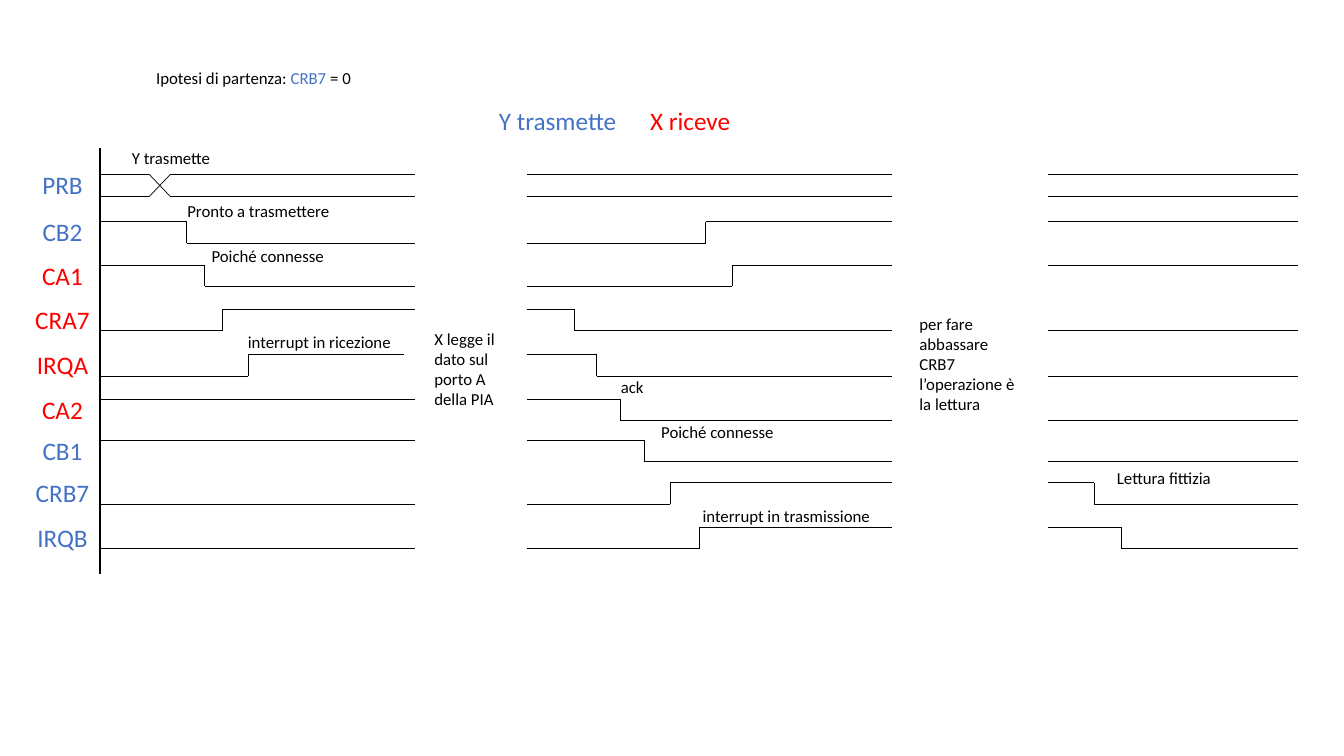
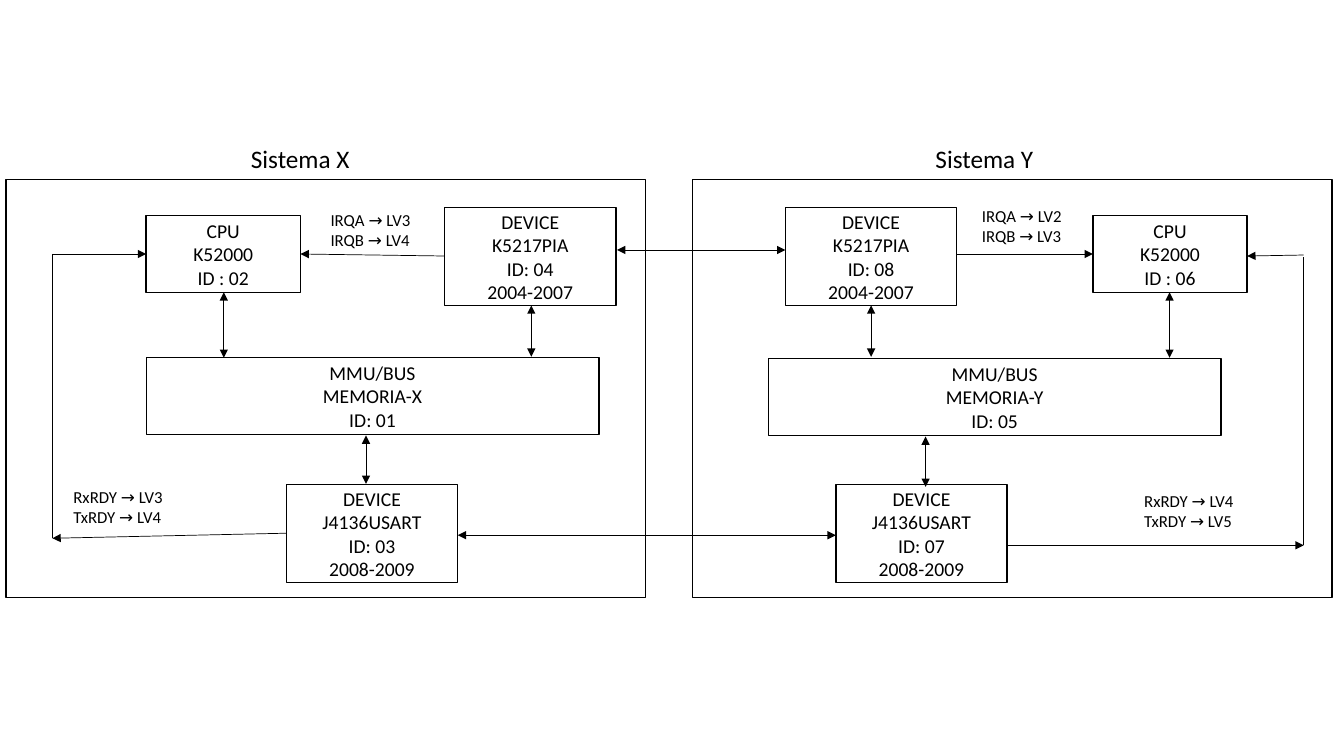
from dataclasses import dataclass
from itertools import pairwise

from lxml.etree import SubElement
from pptx import Presentation
from pptx.dml.color import RGBColor
from pptx.enum.shapes import MSO_CONNECTOR as Connector, MSO_SHAPE as Shape
from pptx.enum.text import MSO_ANCHOR as Anchor, PP_ALIGN as Align
from pptx.oxml.ns import qn
from pptx.util import Inches, Pt


@dataclass(frozen=True)
class Theme:
    black: RGBColor = RGBColor(0x00, 0x00, 0x00)
    white: RGBColor = RGBColor(0xFF, 0xFF, 0xFF)
    blue: RGBColor = RGBColor(0x44, 0x72, 0xC4)
    red: RGBColor = RGBColor(0xFF, 0x00, 0x00)
    font: str = "Calibri"
    arrow_font: str = "Comic Neue"
    heading: Pt = Pt(18)
    body: Pt = Pt(14)
    note: Pt = Pt(12)
    thin: Pt = Pt(0.5)
    border: Pt = Pt(1)
    axis: Pt = Pt(1.5)


theme = Theme()


def write(frame, paragraphs, size, alignment=Align.LEFT):
    """Fill a text frame; each paragraph is a list of (text, colour) runs."""
    frame.word_wrap = True
    for index, runs in enumerate(paragraphs):
        paragraph = frame.add_paragraph() if index else frame.paragraphs[0]
        paragraph.alignment = alignment
        for text, colour in runs:
            run = paragraph.add_run()
            run.text = text
            run.font.name = theme.arrow_font if text == "→" else theme.font
            run.font.size = size
            run.font.color.rgb = colour


def draw_line(slide, start, end, width=theme.thin, arrows=()):
    """Draw a straight line; arrows lists the ends, headEnd or tailEnd, that get a tip."""
    points = [Inches(value) for value in (*start, *end)]
    connector = slide.shapes.add_connector(Connector.STRAIGHT, *points)
    connector.line.color.rgb = theme.black
    connector.line.width = width
    properties = connector._element.spPr
    outline = properties.find(qn("a:ln"))
    for arrow in arrows:
        SubElement(outline, qn(f"a:{arrow}"), type="triangle")
    SubElement(properties, qn("a:effectLst"))


presentation = Presentation()
presentation.slide_width = Inches(13.33)
presentation.slide_height = Inches(7.5)
blank = presentation.slide_layouts[6]

# Timing diagram: three panels of signals
slide = presentation.slides.add_slide(blank)
axis_x, step, swap_start, swap_end = 0.99, 0.21, 1.48, 1.69
panels = [(axis_x, 4.12), (5.23, 8.85), (10.39, 12.87)]
HIGH, LOW = 0, 1

# Name, colour, high level, then per panel: first level, switching point, own end
signals = [
    ("CB2", theme.blue, 2.20, [(HIGH, 1.85), (LOW, 7.00), (HIGH, None)]),
    ("CA1", theme.red, 2.63, [(HIGH, 2.03), (LOW, 7.26), (HIGH, None)]),
    ("CRA7", theme.red, 3.07, [(LOW, 2.21), (HIGH, 5.70), (LOW, None)]),
    ("IRQA", theme.red, 3.52, [(LOW, 2.46, 4.01), (HIGH, 5.92), (LOW, None)]),
    ("CA2", theme.red, 3.96, [(HIGH, None), (HIGH, 6.15), (LOW, None)]),
    ("CB1", theme.blue, 4.37, [(HIGH, None), (HIGH, 6.39), (LOW, None)]),
    ("CRB7", theme.blue, 4.79, [(LOW, None), (LOW, 6.65), (HIGH, 10.85)]),
    ("IRQB", theme.blue, 5.23, [(LOW, None), (LOW, 6.94), (HIGH, 11.12)]),
]
draw_line(slide, (axis_x, 1.47), (axis_x, 5.69), theme.axis)

bus_high, bus_low = 1.73, 1.95
for level, opposite in ((bus_high, bus_low), (bus_low, bus_high)):
    draw_line(slide, (axis_x, level), (swap_start, level))
    draw_line(slide, (swap_start, level), (swap_end, opposite))
    for start, (_, end) in zip((swap_end, 5.23, 10.39), panels):
        draw_line(slide, (start, level), (end, level))

for name, colour, high, traces in signals:
    for (start, panel_end), (level, switch, *own_end) in zip(panels, traces):
        end = own_end[0] if own_end else panel_end
        before, after = high + step * level, high + step * (1 - level)
        points = [(start, before), (end, before)]
        if switch:
            points = [(start, before), (switch, before), (switch, after), (end, after)]
        for point, following in pairwise(points):
            draw_line(slide, point, following)

for name, colour, high, *_ in [("PRB", theme.blue, bus_high), *signals]:
    label = slide.shapes.add_textbox(Inches(0.12), Inches(high - 0.1), Inches(1), Inches(0.4))
    write(label.text_frame, [[(name, colour)]], theme.heading, Align.CENTER)

notes = [
    (1.21, 1.42, 1.5, "Y trasmette"),
    (1.76, 1.94, 2.0, "Pronto a trasmettere"),
    (2.00, 2.39, 2.0, "Poiché connesse"),
    (2.36, 3.24, 2.24, "interrupt in ricezione"),
    (6.06, 3.69, 1.0, "ack"),
    (6.46, 4.13, 2.0, "Poiché connesse"),
    (6.87, 4.97, 2.24, "interrupt in trasmissione"),
    (10.98, 4.59, 1.5, "Lettura fittizia"),
    (4.21, 3.21, 0.94, "X legge il dato sul porto A della PIA"),
    (9.02, 3.06, 1.19, "per fare abbassare CRB7 l’operazione è la lettura"),
]
captions = [(x, y, width, theme.note, [(text, theme.black)]) for x, y, width, text in notes]
captions += [
    (4.85, 1.0, 3.2, theme.heading, [("Y trasmette\t", theme.blue), ("X riceve", theme.red)]),
    (1.45, 0.62, 2.76, theme.note,
     [("Ipotesi di partenza: ", theme.black), ("CRB7", theme.blue), (" = 0", theme.black)]),
]
for x, y, width, size, runs in captions:
    caption = slide.shapes.add_textbox(Inches(x), Inches(y), Inches(width), Inches(0.3))
    write(caption.text_frame, [runs], size)

# Block diagram: two systems facing each other
slide = presentation.slides.add_slide(blank)
cpu_size, device_size, bus_size = (1.53, 0.76), (1.7, 0.97), (4.49, 0.76)
frame_size = (6.34, 4.15)
blocks = [
    (0.06, 1.78, frame_size, []),
    (1.45, 2.14, cpu_size, ["CPU", "K52000", "ID : 02"]),
    (4.41, 2.06, device_size, ["DEVICE", "K5217PIA", "ID: 04", "2004-2007"]),
    (1.45, 3.55, bus_size, ["MMU/BUS", "MEMORIA-X", "ID: 01"]),
    (2.84, 4.81, device_size, ["DEVICE", "J4136USART", "ID: 03", "2008-2009"]),
    (6.87, 1.78, frame_size, []),
    (10.84, 2.14, cpu_size, ["CPU", "K52000", "ID : 06"]),
    (7.79, 2.06, device_size, ["DEVICE", "K5217PIA", "ID: 08", "2004-2007"]),
    (7.62, 3.56, bus_size, ["MMU/BUS", "MEMORIA-Y", "ID: 05"]),
    (8.29, 4.81, device_size, ["DEVICE", "J4136USART", "ID: 07", "2008-2009"]),
]
for x, y, size, lines in blocks:
    block = slide.shapes.add_shape(Shape.RECTANGLE, *map(Inches, (x, y, *size)))
    block.shadow.inherit = False
    block.fill.solid()
    block.fill.fore_color.rgb = theme.white
    block.line.color.rgb = theme.black
    block.line.width = theme.border
    block.text_frame.vertical_anchor = Anchor.MIDDLE
    write(block.text_frame, [[(line, theme.black)] for line in lines], theme.body, Align.CENTER)

for x, name in ((2.39, "Sistema X"), (9.18, "Sistema Y")):
    title = slide.shapes.add_textbox(Inches(x), Inches(1.37), Inches(1.5), Inches(0.4))
    write(title.text_frame, [[(name, theme.black)]], theme.heading)

interrupts = [
    (3.18, 2.03, [("IRQA", "LV3"), ("IRQB", "LV4")]),
    (0.63, 4.78, [("RxRDY", "LV3"), ("TxRDY", "LV4")]),
    (9.64, 1.99, [("IRQA", "LV2"), ("IRQB", "LV3")]),
    (11.25, 4.82, [("RxRDY", "LV4"), ("TxRDY", "LV5")]),
]
for x, y, pairs in interrupts:
    mapping = slide.shapes.add_textbox(Inches(x), Inches(y), Inches(1.2), Inches(0.5))
    paragraphs = [
        [(text, theme.black) for text in (f"{signal} ", "→", f" {level}")]
        for signal, level in pairs
    ]
    write(mapping.text_frame, paragraphs, theme.note)

plain, forward, both = (), ("tailEnd",), ("headEnd", "tailEnd")
links = [
    ((2.22, 3.55), (2.22, 2.90), both),
    ((5.27, 3.54), (5.27, 3.03), both),
    ((3.63, 4.80), (3.63, 4.32), both),
    ((2.84, 5.29), (0.52, 5.34), forward),
    ((0.52, 2.52), (0.52, 5.34), plain),
    ((0.52, 2.52), (1.45, 2.52), forward),
    ((4.41, 2.54), (2.98, 2.52), forward),
    ((11.60, 3.55), (11.60, 2.90), both),
    ((8.64, 3.54), (8.64, 3.03), both),
    ((9.18, 4.83), (9.18, 4.33), both),
    ((9.99, 5.41), (12.93, 5.41), forward),
    ((12.93, 2.55), (12.93, 5.41), plain),
    ((12.93, 2.53), (12.37, 2.54), forward),
    ((9.49, 2.52), (10.84, 2.52), forward),
    ((4.54, 5.31), (8.29, 5.31), both),
    ((6.12, 2.48), (7.79, 2.48), both),
]
for start, end, arrows in links:
    draw_line(slide, start, end, arrows=arrows)

presentation.save("out.pptx")
